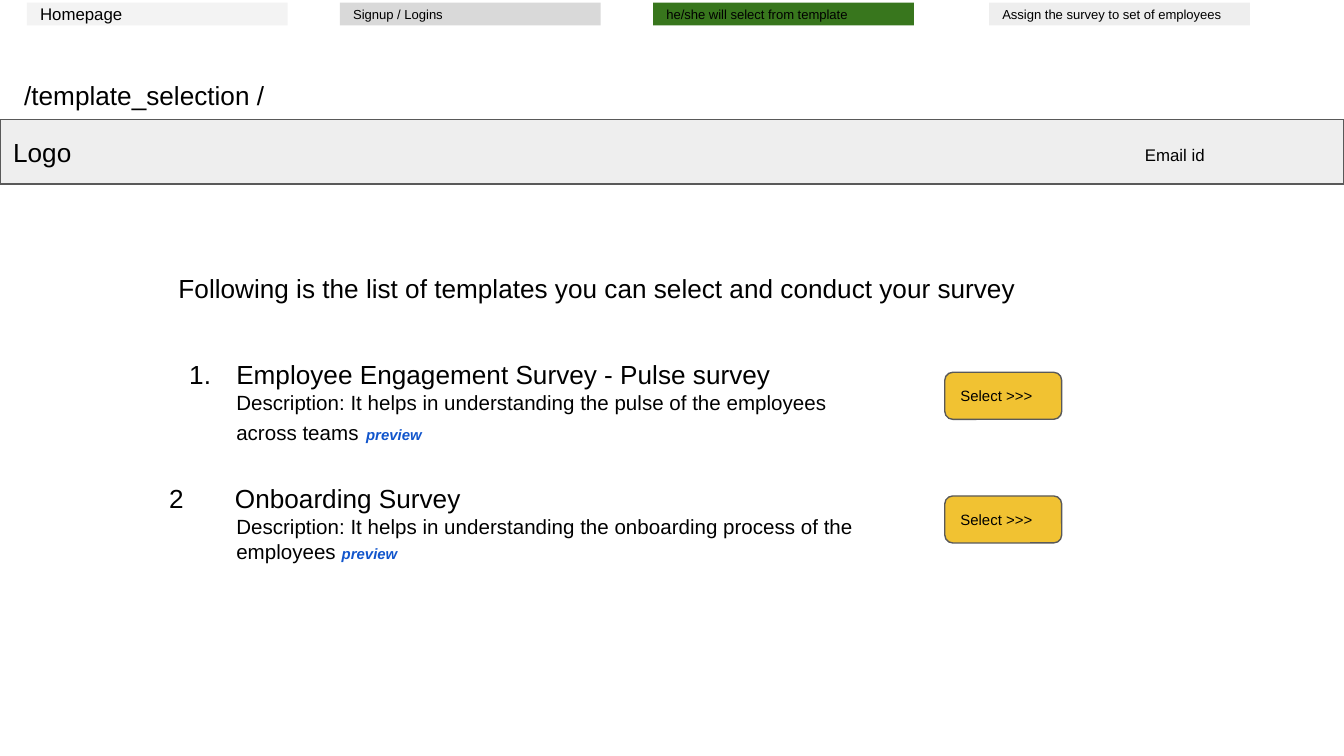
from lxml.etree import SubElement
from pptx import Presentation
from pptx.dml.color import RGBColor
from pptx.enum.shapes import MSO_SHAPE
from pptx.enum.text import MSO_ANCHOR, MSO_AUTO_SIZE, PP_ALIGN
from pptx.oxml.ns import qn
from pptx.util import Pt

SCALE = 9144
FONT = "Arial"
COLOURS = {
    "text": "000000",
    "link": "1155CC",
    "outline": "595959",
    "bar": "EEEEEE",
    "home": "F3F3F3",
    "signup": "D9D9D9",
    "current": "38761D",
    "button": "F1C232",
}
STEPS = [
    (0, "Homepage", 9, "home"),
    (233, "Signup / Logins", 7, "signup"),
    (466, "he/she will select from template", 7, "current"),
    (716, "Assign the survey to set of employees", 7, "bar"),
]
DESCRIPTION = "Description: It helps in understanding the "


def px(length):
    """Turn a length in px, a hundredth of an inch, into EMU."""
    return length * SCALE


def colour(name):
    """Look up a named colour."""
    return RGBColor.from_string(COLOURS[name])


def add_span(para, text, size, tint="text", emphasis=None):
    """Append one formatted run to a paragraph."""
    span = para.add_run()
    span.text = text
    span.font.name = FONT
    span.font.size = Pt(size)
    span.font.bold = emphasis
    span.font.italic = emphasis
    span.font.color.rgb = colour(tint)


def prepare_frame(frame, anchor):
    """Set insets, wrapping and anchor, and return the first paragraph."""
    frame.margin_left = frame.margin_right = px(10)
    frame.margin_top = frame.margin_bottom = px(10)
    frame.word_wrap = True
    frame.vertical_anchor = anchor
    para = frame.paragraphs[0]
    para.alignment = PP_ALIGN.LEFT
    return para


def add_panel(page, box, fill, text, size, outlined=False, kind=MSO_SHAPE.RECTANGLE):
    """Draw a filled shape with one left-aligned label."""
    panel = page.shapes.add_shape(kind, *map(px, box))
    panel.shadow.inherit = False
    panel.fill.solid()
    panel.fill.fore_color.rgb = colour(fill)
    if outlined:
        panel.line.color.rgb = colour("outline")
        panel.line.width = Pt(0.75)
    else:
        panel.line.fill.background()
    add_span(prepare_frame(panel.text_frame, MSO_ANCHOR.MIDDLE), text, size)
    return panel


def add_text_box(page, box):
    """Add a growing text box and return its first paragraph and frame."""
    frame = page.shapes.add_textbox(*map(px, box)).text_frame
    para = prepare_frame(frame, MSO_ANCHOR.TOP)
    frame.auto_size = MSO_AUTO_SIZE.SHAPE_TO_FIT_TEXT
    return para, frame


def set_indent(para, left, first):
    """Set the left margin and first-line indent of a paragraph."""
    properties = para._p.get_or_add_pPr()
    properties.set("marL", str(px(left)))
    properties.set("indent", str(px(first)))
    return properties


def number_paragraph(para):
    """Give a paragraph an automatic number."""
    properties = set_indent(para, 50, -35)
    tint = SubElement(properties, qn("a:buClr"))
    SubElement(tint, qn("a:srgbClr"), val=COLOURS["text"])
    SubElement(properties, qn("a:buFont"), typeface=FONT)
    SubElement(properties, qn("a:buAutoNum"), type="arabicPeriod")


def add_title(page, box):
    """Place the page address in the title placeholder."""
    title = page.shapes.title
    title.left, title.top, title.width, title.height = map(px, box)
    para = prepare_frame(title.text_frame, MSO_ANCHOR.TOP)
    title.text_frame.auto_size = MSO_AUTO_SIZE.SHAPE_TO_FIT_TEXT
    add_span(para, "/template_selection /", 14)


def add_steps(page, box):
    """Draw the row of process steps."""
    left, top, width, height = box
    for offset, label, size, fill in STEPS:
        add_panel(page, (left + offset, top, width, height), fill, label, size)


def add_header(page, box):
    """Draw the header bar with its logo label and account label."""
    left, top, width, height = box
    add_panel(page, box, "bar", "Logo", 14, outlined=True)
    para, _ = add_text_box(page, (left + width - 158, top + 11, 158, 35))
    add_span(para, "Email id", 9)


def add_heading(page, box):
    """Write the line that introduces the templates."""
    para, _ = add_text_box(page, box)
    add_span(para, "Following is the list of templates you can select and conduct your survey", 14)


def add_template(page, box, name, spans, automatic):
    """Write one numbered template with its preview link and button."""
    left, top, width, height = box
    para, frame = add_text_box(page, box)
    if automatic:
        number_paragraph(para)
    else:
        set_indent(para, 49, -49)
    add_span(para, name, 14)
    description = frame.add_paragraph()
    description.alignment = PP_ALIGN.LEFT
    set_indent(description, 50, 0)
    for text, size in spans:
        add_span(description, text, size)
    add_span(description, "preview", 8, "link", True)
    button = add_panel(page, (left + 587, top + 20, 87, 35), "button", "Select >>>", 8,
                       outlined=True, kind=MSO_SHAPE.ROUNDED_RECTANGLE)
    button.adjustments[0] = 0.17


def main():
    """Build and save the template selection slide."""
    deck = Presentation()
    deck.slide_width = px(1000)
    deck.slide_height = deck.slide_width * 9 // 16
    page = deck.slides.add_slide(deck.slide_layouts[5])
    add_title(page, (8, 49, 534, 44))
    add_steps(page, (20, 2, 194, 17))
    add_header(page, (0, 89, 1000, 48))
    add_heading(page, (123, 193, 693, 44))
    add_template(page, (116, 257, 530, 86), "Employee Engagement Survey - Pulse survey",
                 [(DESCRIPTION + "pulse of the employees across teams", 11), (" ", 14)], True)
    add_template(page, (116, 349, 530, 81), "2\tOnboarding Survey",
                 [(DESCRIPTION + "onboarding process of the employees ", 11)], False)
    deck.save("out.pptx")


if __name__ == "__main__":
    main()
